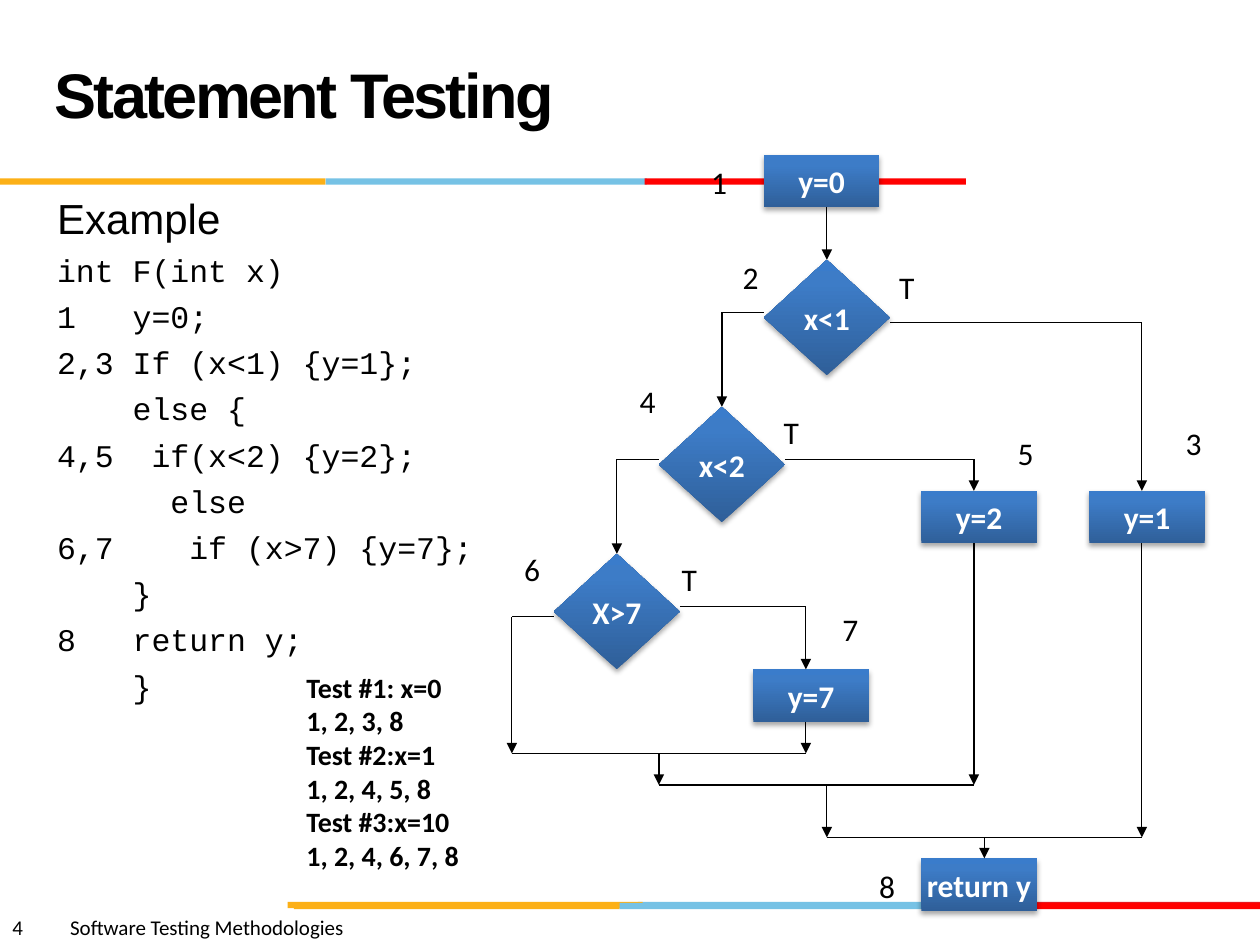
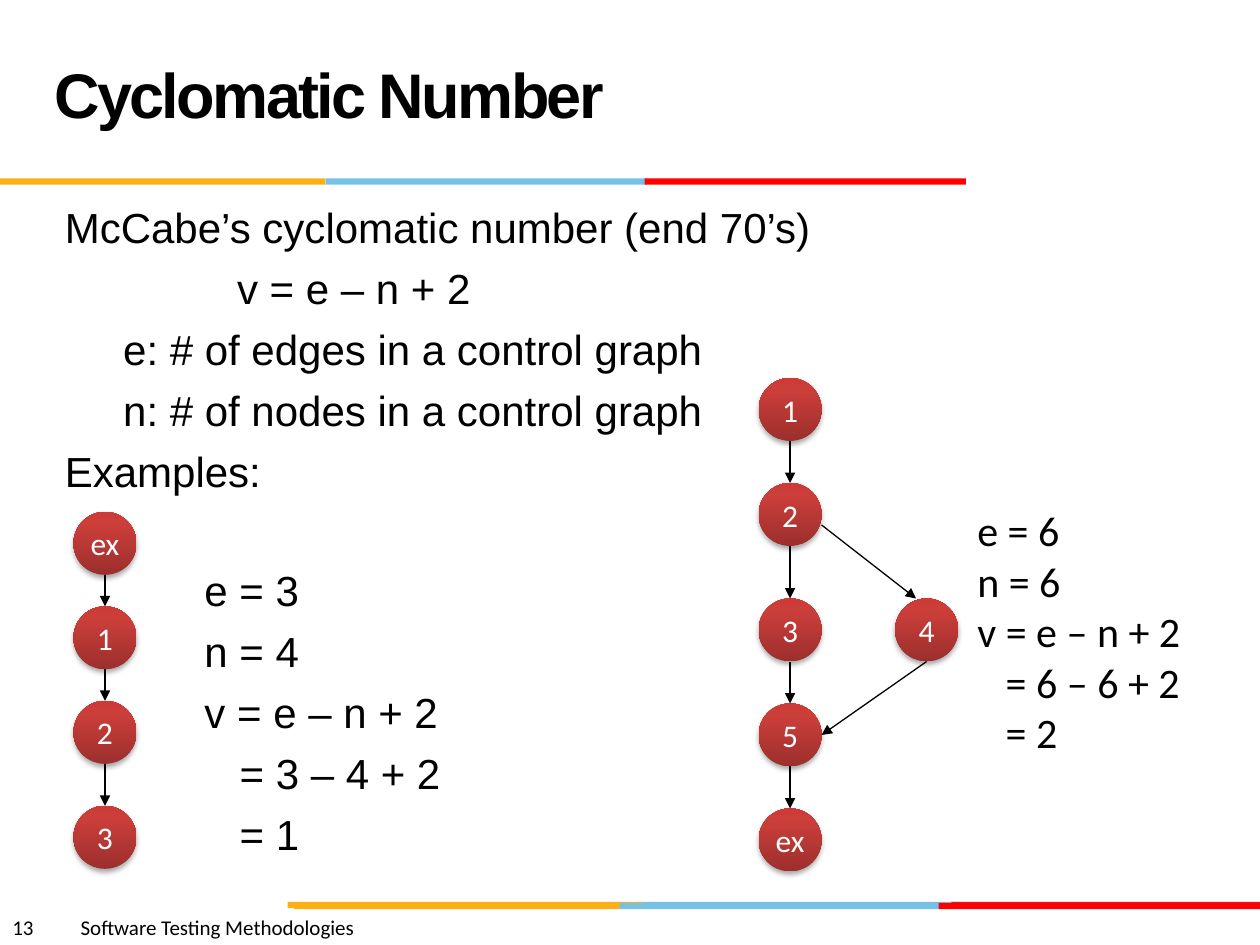
from dataclasses import dataclass
from itertools import pairwise

from lxml import etree
from pptx import Presentation
from pptx import util as u
from pptx.dml.color import RGBColor
from pptx.enum import shapes, text
from pptx.oxml import ns

# Colours and fonts
BLACK, WHITE = RGBColor(0, 0, 0), RGBColor(255, 255, 255)
AMBER, SKY = RGBColor(0xFC, 0xB0, 0x17), RGBColor(0x76, 0xC2, 0xE5)
CRIMSON, RED = RGBColor(0xE3, 0x1C, 0x24), RGBColor(255, 0, 0)
BLUE_RAMP = {0: RGBColor(0x2F, 0x5F, 0x99), 80: RGBColor(0x3D, 0x7C, 0xC7),
             100: RGBColor(0x3A, 0x7C, 0xCB)}
RED_RAMP = {0: RGBColor(0x9C, 0x2F, 0x2D), 80: RGBColor(0xCB, 0x3E, 0x3A),
            100: RGBColor(0xCE, 0x3B, 0x37)}
SANS, LABEL, CODE = "Arial", "Calibri", "Courier New"

# The slide is 120 columns by 90 rows
WIDTH, HEIGHT = u.Inches(10), u.Inches(7.5)
CELL = WIDTH // 120

RECT = shapes.MSO_SHAPE.RECTANGLE
DECISION = shapes.MSO_SHAPE.FLOWCHART_DECISION
CIRCLE = shapes.MSO_SHAPE.FLOWCHART_CONNECTOR
NODE_SIZES = {RECT: (11, 5), DECISION: (12, 11), CIRCLE: (6, 6)}


@dataclass(frozen=True)
class Grid:
    """A cell grid, moved by a part of a cell."""
    col: float = 0
    row: float = 0

    def point(self, col, row):
        return round((col + self.col) * CELL), round((row + self.row) * CELL)


@dataclass(frozen=True)
class Stripe:
    col: float
    row: float
    cols: float
    color: RGBColor


@dataclass(frozen=True)
class Line:
    words: str
    size: float = 24
    font: str = SANS
    bold: bool = False
    before: float = 0  # points
    left: float = 0    # columns
    tab: float = 0     # columns
    tight: float = 0   # points between letters
    exact: float = 0   # line height in points


@dataclass(frozen=True)
class Node:
    key: str
    words: str
    col: float
    row: float
    kind: int = RECT


@dataclass(frozen=True)
class Route:
    points: list
    into: str = ""  # node whose top the route joins
    arrow: bool = True


PAGE, FLOW = Grid(), Grid(-0.25, -0.25)
LEFT_GRAPH, RIGHT_GRAPH = Grid(0, -0.25), Grid(0.25, 0)

STRIPES = [
    Stripe(60.75, 85.9, 30.6, SKY), Stripe(90.6, 85.9, 29.4, CRIMSON),
    Stripe(27.4, 85.9, 33.8, AMBER),
    Stripe(59, 86, 30.6, SKY), Stripe(28, 86, 31, AMBER),
    Stripe(89.4, 86, 30.6, RED),
    Stripe(31, 17, 30.6, SKY), Stripe(0, 17, 31, AMBER),
    Stripe(61.4, 17, 30.6, RED),
]


# Drawing functions
def add_xml(parent, tag: str, **attributes):
    return etree.SubElement(parent, ns.qn(tag), attributes)


def add_text(page, grid: Grid, col, row, cols, rows, lines: list[Line],
             wrap=True, anchor=text.MSO_ANCHOR.TOP):
    box = page.shapes.add_textbox(*grid.point(col, row),
                                  round(cols * CELL), round(rows * CELL))
    frame = box.text_frame
    frame.word_wrap, frame.vertical_anchor = wrap, anchor
    for index, line in enumerate(lines):
        para = frame.paragraphs[0] if index == 0 else frame.add_paragraph()
        span = para.add_run()
        span.text = line.words
        if line.tight:
            span._r.get_or_add_rPr().set("spc", str(round(line.tight * 100)))
        if line.exact:
            para.line_spacing = u.Pt(line.exact)
        if line.before and index:
            para.space_before = u.Pt(line.before)
        properties = para._p.get_or_add_pPr()
        if line.left:
            properties.set("marL", str(round(line.left * CELL)))
        if line.tab:
            stops = add_xml(properties, "a:tabLst")
            add_xml(stops, "a:tab", pos=str(round(line.tab * CELL)), algn="l")
        style_font(para.font, line.font, line.size, line.bold, BLACK)


def style_font(font, name: str, size: float, bold: bool, color: RGBColor):
    font.name, font.size, font.bold = name, u.Pt(size), bold
    font.color.rgb = color


def add_stripe(page, stripe: Stripe):
    bar = page.shapes.add_shape(RECT, *PAGE.point(stripe.col, stripe.row),
                                round(stripe.cols * CELL), round(0.6 * CELL))
    bar.shadow.inherit = False
    bar.fill.solid()
    bar.fill.fore_color.rgb = stripe.color
    bar.line.fill.background()


def shade(shape, ramp: dict[int, RGBColor]):
    """Fill from the bottom up and drop a soft shadow."""
    shape.fill.background()
    shape.line.fill.background()
    shape.shadow.inherit = False
    look = shape._element.spPr
    fill = etree.Element(ns.qn("a:gradFill"), rotWithShape="1")
    stops = add_xml(fill, "a:gsLst")
    for share, color in ramp.items():
        stop = add_xml(stops, "a:gs", pos=str(share * 1000))
        add_xml(stop, "a:srgbClr", val=str(color))
    add_xml(fill, "a:lin", ang="16200000", scaled="0")
    look.replace(look.find(ns.qn("a:noFill")), fill)
    shadow = add_xml(look.find(ns.qn("a:effectLst")), "a:outerShdw",
                     blurRad=str(u.Pt(3.1)), dist=str(u.Pt(1.8)),
                     dir="5400000", rotWithShape="0")
    color = add_xml(shadow, "a:srgbClr", val=str(BLACK))
    add_xml(color, "a:alpha", val="35000")


def add_node(page, grid: Grid, node: Node, ramp, bold: bool):
    cols, rows = NODE_SIZES[node.kind]
    shape = page.shapes.add_shape(node.kind, *grid.point(node.col, node.row),
                                  cols * CELL, rows * CELL)
    shade(shape, ramp)
    frame = shape.text_frame
    frame.word_wrap, frame.vertical_anchor = False, text.MSO_ANCHOR.MIDDLE
    para = frame.paragraphs[0]
    para.text, para.alignment = node.words, text.PP_ALIGN.CENTER
    style_font(para.font, LABEL, 18, bold, WHITE)
    return shape


def add_route(page, grid: Grid, route: Route, drawn: dict):
    for start, end in pairwise(route.points):
        link = page.shapes.add_connector(shapes.MSO_CONNECTOR.STRAIGHT,
                                         *grid.point(*start), *grid.point(*end))
        link.line.color.rgb, link.line.width = BLACK, u.Pt(0.75)
        add_xml(link._element.spPr, "a:effectLst")
    if route.arrow:
        add_xml(link.line._get_or_add_ln(), "a:tailEnd", type="triangle")
    if route.into:
        link.end_connect(drawn[route.into], 0)


def add_graph(page, grid: Grid, nodes, routes, ramp, bold=False):
    drawn = {node.key: add_node(page, grid, node, ramp, bold) for node in nodes}
    for route in routes:
        add_route(page, grid, route, drawn)


def add_page(deck, title: str, number: int, gap: float):
    page = deck.slides.add_slide(deck.slide_layouts[6])
    for stripe in STRIPES:
        add_stripe(page, stripe)
    footer = Line(f"{number}\tSoftware Testing Methodologies", 12, LABEL, tab=gap)
    add_text(page, PAGE, 0, 86.5, 60, 3.6, [footer])
    heading = Line(title, 36, bold=True, tight=-1.5, exact=36)
    add_text(page, PAGE, 4, 2, 83, 15, [heading], anchor=text.MSO_ANCHOR.MIDDLE)
    return page


# Statement testing: code, flow chart and test runs
CODE_LINES = ["int F(int x)", "1   y=0;", "2,3 If (x<1) {y=1};", "    else {",
              "4,5  if(x<2) {y=2};", "      else", "6,7    if (x>7) {y=7};",
              "    }", "8   return y;", "    }"]
TEST_RUNS = ["Test #1: x=0", "1, 2, 3, 8", "Test #2:x=1", "1, 2, 4, 5, 8",
             "Test #3:x=10", "1, 2, 4, 6, 7, 8"]
FLOW_NODES = [
    Node("start", "y=0", 73, 15), Node("two", "y=2", 88, 47),
    Node("one", "y=1", 104, 47), Node("seven", "y=7", 72, 64),
    Node("return", "return y", 88, 82),
    Node("below 1", "x<1", 73, 25, DECISION),
    Node("below 2", "x<2", 63, 39, DECISION),
    Node("above 7", "X>7", 53, 53, DECISION),
]
FLOW_ROUTES = [
    Route([(79, 20), (79, 25)], "below 1"),
    Route([(73, 30), (69, 30), (69, 39)], "below 2"),
    Route([(63, 44), (59, 44), (59, 53)], "above 7"),
    Route([(53, 59), (49, 59), (49, 72)]),
    Route([(65, 58), (77, 58), (77, 64)]),
    Route([(75, 44), (93, 44), (93, 47)]),
    Route([(85, 31), (109, 31), (109, 47)]),
    Route([(77, 69), (77, 72)]),
    Route([(93, 52), (93, 75)]),
    Route([(109, 52), (109, 80)]),
    Route([(49, 72), (77, 72)], arrow=False),
    Route([(63, 72), (63, 75)]),
    Route([(63, 75), (93, 75)], arrow=False),
    Route([(79, 75), (79, 80)]),
    Route([(79, 80), (109, 80)], arrow=False),
    Route([(94, 80), (94, 82)]),
]
FLOW_LABELS = [
    ("T", 84.7, 25.2), ("T", 73.7, 39), ("T", 64, 53),
    ("1", 66.8, 15.2), ("2", 69.8, 24.2), ("3", 112, 40), ("4", 60, 36),
    ("5", 96, 41), ("6", 49, 52), ("7", 79.3, 57.8), ("8", 82.8, 82.2),
]


def build_statement_testing(deck):
    page = add_page(deck, "Statement Testing", 4, 5.5)
    lines = [Line("Example")]
    lines += [Line(words, 18, CODE, before=4.8) for words in CODE_LINES]
    add_text(page, PAGE, 4.25, 17.7, 44, 50, lines)
    add_graph(page, FLOW, FLOW_NODES, FLOW_ROUTES, BLUE_RAMP, bold=True)
    runs = [Line(words, 16, LABEL, bold=True) for words in TEST_RUNS]
    add_text(page, PAGE, 28, 63.25, 18.8, 20.4, runs, wrap=False)
    for words, col, row in FLOW_LABELS:
        add_text(page, FLOW, col, row, 4.1, 4.8, [Line(words, 18, LABEL)], wrap=False)


# Cyclomatic number: formula and two control graphs
FORMULA = [
    Line("McCabe’s cyclomatic number (end 70’s)"),
    Line("v = e – n + 2", before=6, left=16.4),
    Line("e: # of edges in a control graph", before=6, left=5.56),
    Line("n: # of nodes in a control graph", before=6, left=5.56),
    Line("Examples:", before=6),
    Line("e = 3", before=39.4, left=13.3),
    Line("n = 4", before=6, left=13.3),
    Line("v = e – n + 2", before=6, left=13.3),
    Line("= 3 – 4 + 2", before=6, left=16.65),
    Line("= 1", before=6, left=16.65),
]
BRANCH_RESULT = [("e = 6", 0), ("n = 6", 0), ("v = e – n + 2", 0),
                 ("= 6 – 6 + 2", 2.7), ("= 2", 2.7)]
BRANCH_ROUTES = [Route([(78, 50), (87, 57)]), Route([(88, 63), (78, 70)])]


def chain(col: float, rows: dict[str, float]):
    """Circles in one column, each linked to the next."""
    nodes = [Node(key, key, col, row, CIRCLE) for key, row in rows.items()]
    routes = [Route([(col + 3, a.row + 6), (col + 3, b.row)], b.key)
              for a, b in pairwise(nodes)]
    return nodes, routes


def build_cyclomatic_number(deck):
    page = add_page(deck, "Cyclomatic Number", 13, 6.5)
    add_text(page, PAGE, 5, 18.6, 109, 69.4, FORMULA)
    nodes, routes = chain(7, {"ex": 49, "1": 58, "2": 67, "3": 77})
    add_graph(page, LEFT_GRAPH, nodes, routes, RED_RAMP)
    nodes, routes = chain(72, {"1": 36, "2": 46, "3": 57, "5": 67, "ex": 77})
    nodes.append(Node("4", "4", 85, 57, CIRCLE))
    add_graph(page, RIGHT_GRAPH, nodes, routes + BRANCH_ROUTES, RED_RAMP)
    result = [Line(words, 24, LABEL, left=left) for words, left in BRANCH_RESULT]
    add_text(page, PAGE, 91.9, 47.5, 24.8, 25.2, result, wrap=False)


def main():
    deck = Presentation()
    deck.slide_width, deck.slide_height = WIDTH, HEIGHT
    build_statement_testing(deck)
    build_cyclomatic_number(deck)
    deck.save("out.pptx")


if __name__ == "__main__":
    main()
